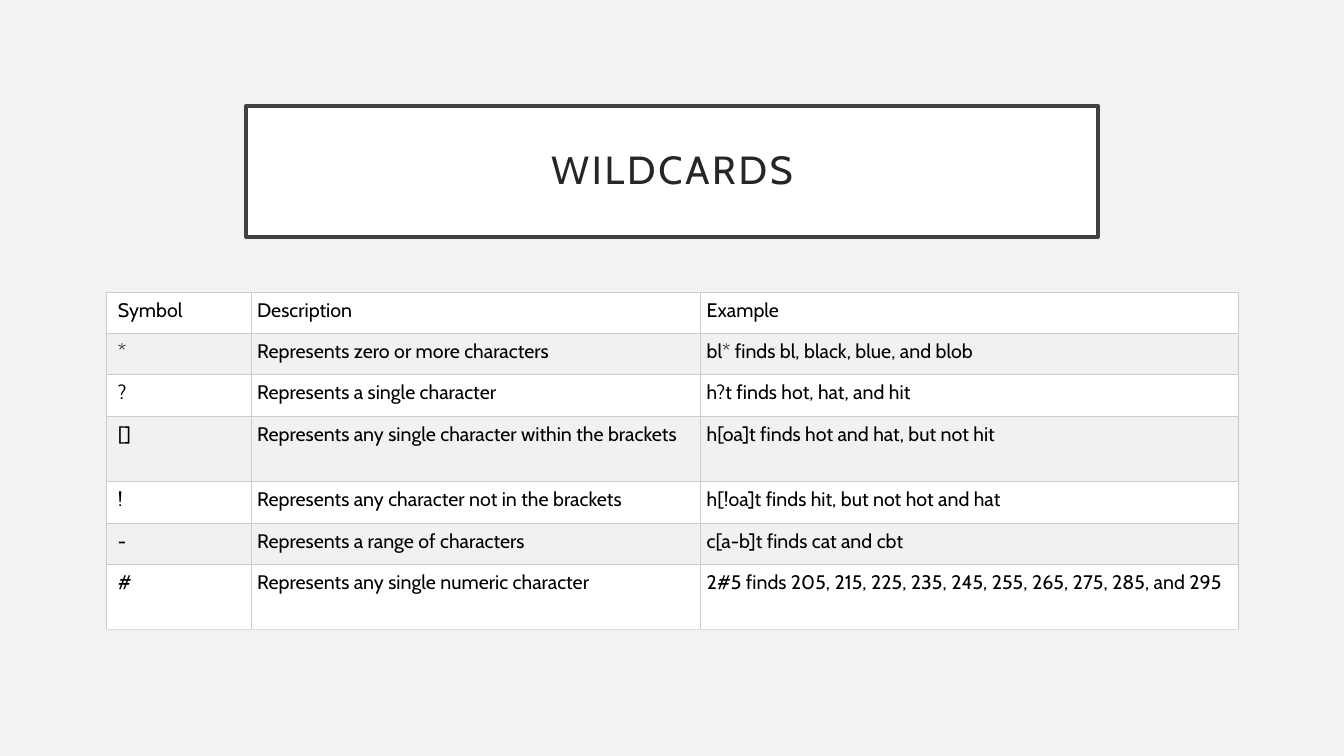
import pptx
import pptx.dml.color
import pptx.enum.shapes
import pptx.enum.text
import pptx.oxml
import pptx.oxml.ns
import pptx.util
from pptx.util import Inches

FONT = "Cabin"
COLUMN_WIDTHS = [1.43, 4.46, 5.33]
SHORT_ROW, TALL_ROW = 0.41, 0.65
TALL_SYMBOLS = ("[]", "#")
WILDCARDS = [
    ("Symbol", "Description", "Example"),
    ("*", "Represents zero or more characters", "bl* finds bl, black, blue, and blob"),
    ("?", "Represents a single character", "h?t finds hot, hat, and hit"),
    ("[]", "Represents any single character within the brackets",
     "h[oa]t finds hot and hat, but not hit"),
    ("!", "Represents any character not in the brackets",
     "h[!oa]t finds hit, but not hot and hat"),
    ("-", "Represents a range of characters", "c[a-b]t finds cat and cbt"),
    ("#", "Represents any single numeric character",
     "2#5 finds 205, 215, 225, 235, 245, 255, 265, 275, 285, and 295"),
]


def color(hex_string):
    return pptx.dml.color.RGBColor.from_string(hex_string)


def set_fill(target, hex_string):
    target.fill.solid()
    target.fill.fore_color.rgb = color(hex_string)


def format_run(run, size, hex_string):
    run.font.name = FONT
    run.font.size = pptx.util.Pt(size)
    run.font.color.rgb = color(hex_string)


def set_margins(target, left, others):
    target.margin_left = Inches(left)
    target.margin_top = target.margin_right = target.margin_bottom = Inches(others)


def set_borders(cell, bottom):
    """Draw thin lines on all sides; they must come before the fill in the XML."""
    properties = cell._tc.get_or_add_tcPr()
    sides = {"lnL": "CCCCCC", "lnR": "CCCCCC", "lnT": "CCCCCC", "lnB": bottom}
    for position, (side, hex_string) in enumerate(sides.items()):
        border = pptx.oxml.parse_xml(
            f'<a:{side} {pptx.oxml.ns.nsdecls("a")} w="{pptx.util.Pt(0.75)}">'
            f'<a:solidFill><a:srgbClr val="{hex_string}"/></a:solidFill></a:{side}>')
        properties.insert(position, border)


def add_title(slide, text):
    shape = slide.shapes.add_shape(
        pptx.enum.shapes.MSO_SHAPE.RECTANGLE,
        Inches(2.44), Inches(1.05), Inches(8.45), Inches(1.3))
    shape.shadow.inherit = False
    set_fill(shape, "FFFFFF")
    shape.line.color.rgb = color("404040")
    shape.line.width = pptx.util.Pt(2.5)
    text_frame = shape.text_frame
    text_frame.text = text
    text_frame.word_wrap = True
    text_frame.vertical_anchor = pptx.enum.text.MSO_ANCHOR.MIDDLE
    set_margins(text_frame, 0.2, 0.2)
    paragraph = text_frame.paragraphs[0]
    paragraph.alignment = pptx.enum.text.PP_ALIGN.CENTER
    paragraph.line_spacing = 0.9
    run = paragraph.runs[0]
    format_run(run, 28, "262626")
    run.font._element.set("spc", "200")


def add_wildcard_table(slide, rows):
    heights = [TALL_ROW if row[0] in TALL_SYMBOLS else SHORT_ROW for row in rows]
    table = slide.shapes.add_table(
        len(rows), len(COLUMN_WIDTHS), Inches(1.06), Inches(2.9),
        Inches(sum(COLUMN_WIDTHS)), Inches(sum(heights))).table
    for column, width in zip(table.columns, COLUMN_WIDTHS):
        column.width = Inches(width)
    for row_index, texts in enumerate(rows):
        table.rows[row_index].height = Inches(heights[row_index])
        last = row_index == len(rows) - 1
        for column_index, text in enumerate(texts):
            cell = table.cell(row_index, column_index)
            cell.text_frame.text = text
            format_run(cell.text_frame.paragraphs[0].runs[0], 14, "000000")
            set_margins(cell, 0.11 if column_index == 0 else 0.06, 0.06)
            set_fill(cell, "F1F1F1" if row_index % 2 else "FFFFFF")
            set_borders(cell, "DDDDDD" if last else "CCCCCC")
    table.first_row = table.horz_banding = False


def main():
    presentation = pptx.Presentation()
    presentation.slide_width = Inches(13.33)
    presentation.slide_height = Inches(7.5)
    slide = presentation.slides.add_slide(presentation.slide_layouts[6])
    set_fill(slide.background, "F2F2F2")

    # Heading box
    add_title(slide, "WILDCARDS")

    # Symbols with their meaning
    add_wildcard_table(slide, WILDCARDS)

    presentation.save("out.pptx")


main()
